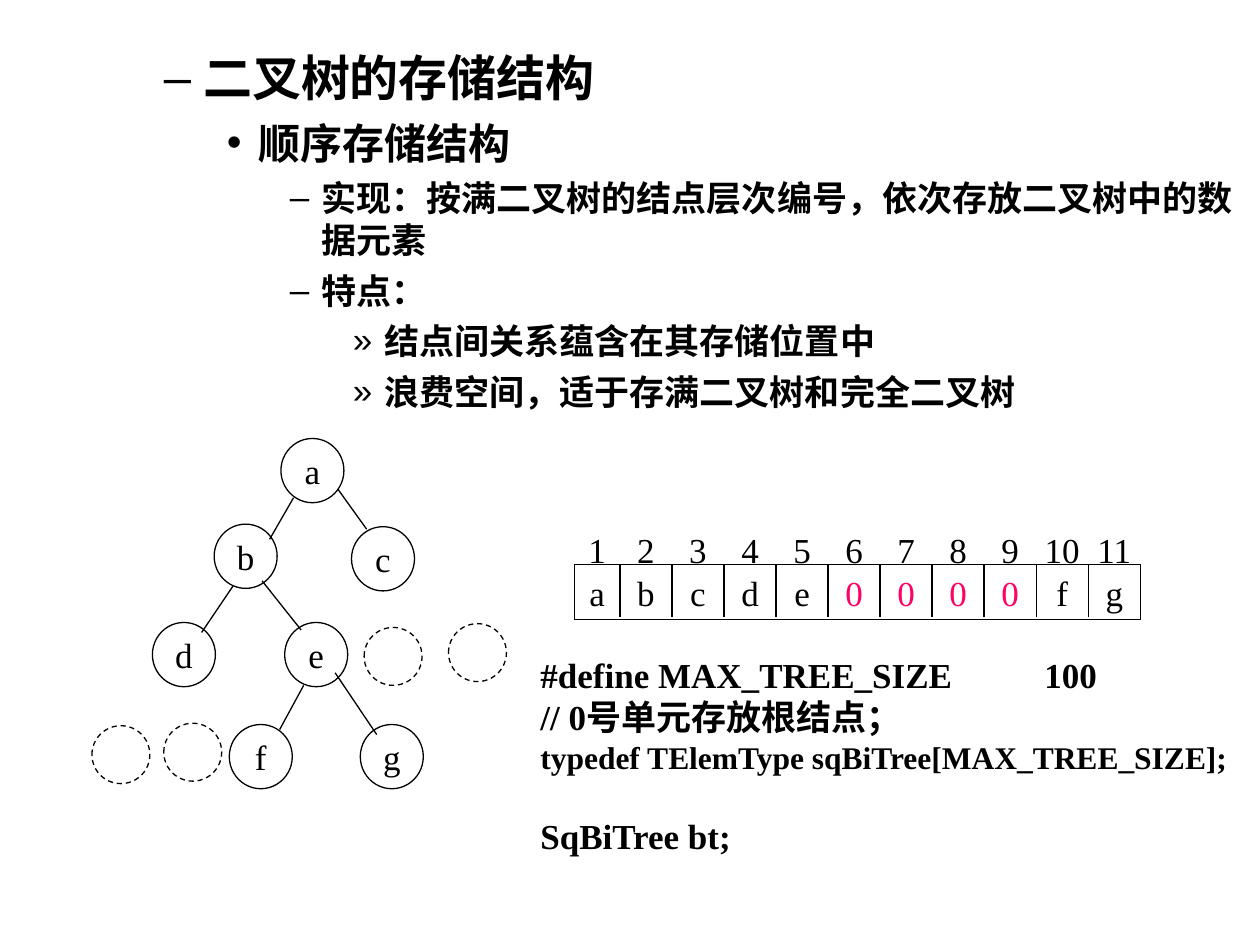
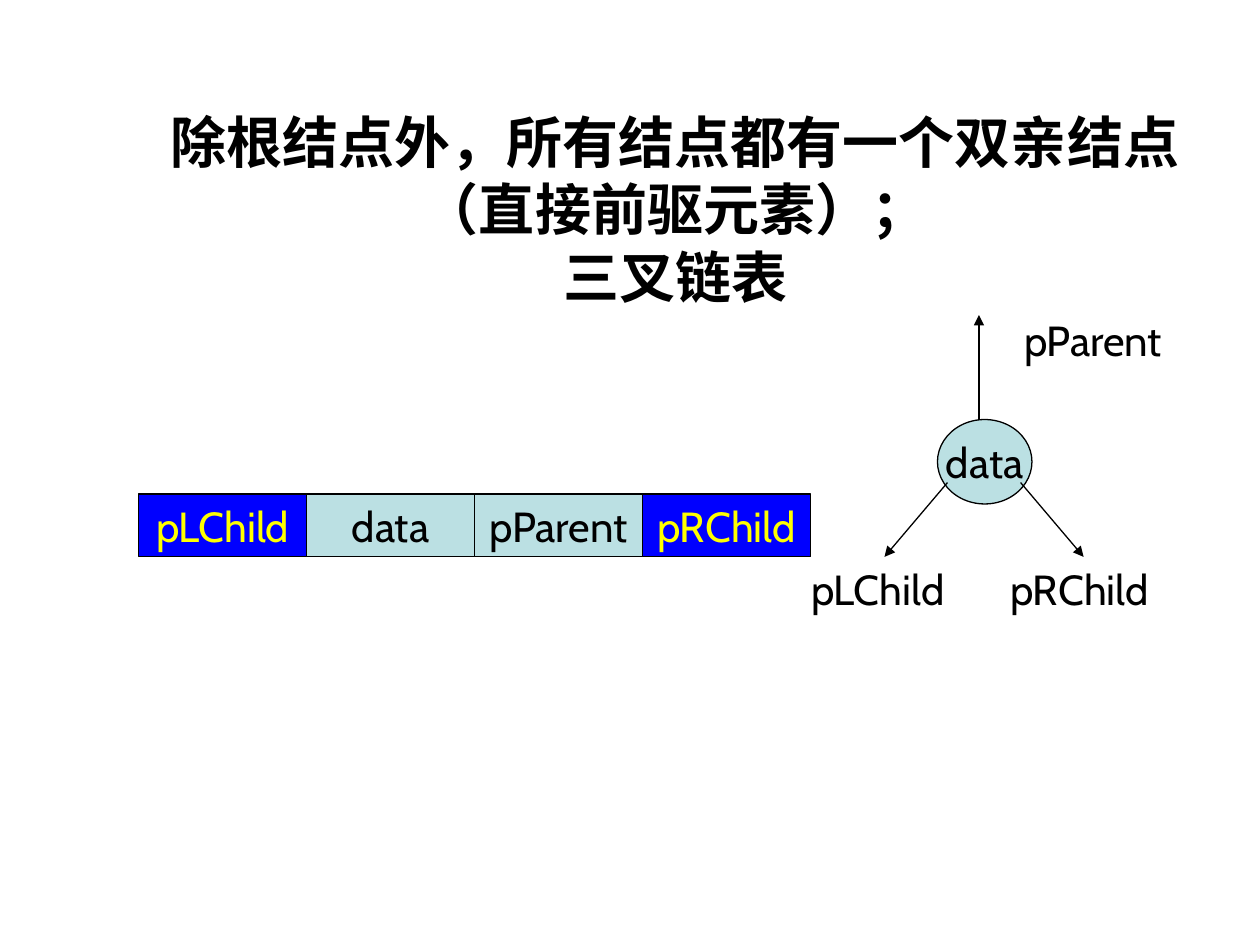
"""Build two slides on how binary trees are stored."""
from lxml.etree import SubElement
from pptx import Presentation
from pptx.dml.color import RGBColor
from pptx.enum.dml import MSO_LINE
from pptx.enum.shapes import MSO_CONNECTOR, MSO_SHAPE
from pptx.enum.text import MSO_ANCHOR, MSO_AUTO_SIZE, PP_ALIGN
from pptx.oxml.ns import qn
from pptx.util import Inches, Pt

HUES = {
    "ink": "000000",
    "zero": "FF0066",
    "link": "0000FF",
    "mark": "FFFF00",
    "pale": "BBE0E3",
}
HEAD, SERIF, SANS = "Arial", "Times New Roman", "Cabin"


def hue(name):
    return RGBColor.from_string(HUES[name])


def place(shape, box):
    shape.left, shape.top, shape.width, shape.height = map(Inches, box)


def add_run(para, text, size, font, color="ink", bold=False):
    run = para.add_run()
    run.text = text
    run.font.size = Pt(size)
    run.font.name = font
    run.font.bold = bold
    run.font.color.rgb = hue(color)


def add_form(slide, kind, box, fill=None, dash=False):
    form = slide.shapes.add_shape(kind, *map(Inches, box))
    form.shadow.inherit = False
    if fill:
        form.fill.solid()
        form.fill.fore_color.rgb = hue(fill)
    else:
        form.fill.background()
    form.line.color.rgb = hue("ink")
    form.line.width = Pt(0.75)
    if dash:
        form.line.dash_style = MSO_LINE.DASH
    return form


def write(form, text, size, font, color="ink"):
    frame = form.text_frame
    frame.word_wrap = False
    frame.margin_left = frame.margin_right = 0
    frame.vertical_anchor = MSO_ANCHOR.MIDDLE
    para = frame.paragraphs[0]
    para.alignment = PP_ALIGN.CENTER
    add_run(para, text, size, font, color)


def add_box(slide, box):
    form = slide.shapes.add_textbox(*map(Inches, box))
    form.text_frame.word_wrap = True
    return form


def add_line(slide, start, end, arrow=False):
    line = slide.shapes.add_connector(
        MSO_CONNECTOR.STRAIGHT, *map(Inches, start + end))
    line.line.color.rgb = hue("ink")
    line.line.width = Pt(0.75)
    if arrow:
        SubElement(line.line._get_or_add_ln(), qn("a:tailEnd"), type="triangle")
    SubElement(line._element.spPr, qn("a:effectLst"))


def add_list(slide, box, items):
    body = slide.placeholders[1]
    place(body, box)
    frame = body.text_frame
    frame.auto_size = MSO_AUTO_SIZE.NONE
    for i, (level, size, gap, text) in enumerate(items):
        para = frame.add_paragraph() if i else frame.paragraphs[0]
        para.level = level
        para.space_before = Pt(gap if i else 0)
        add_run(para, text, size, HEAD, bold=True)


def add_title(slide, box, lines):
    title = slide.shapes.title
    place(title, box)
    frame = title.text_frame
    frame.auto_size = MSO_AUTO_SIZE.NONE
    frame.vertical_anchor = MSO_ANCHOR.MIDDLE
    frame.margin_bottom = Inches(0.58)
    para = frame.paragraphs[0]
    para.alignment = PP_ALIGN.CENTER
    for i, text in enumerate(lines):
        if i:
            para.add_line_break()
        add_run(para, text, 32, HEAD, bold=True)


def add_tree(slide):
    nodes = {
        "a": (2.23, 3.48), "b": (1.7, 4.16), "c": (2.79, 4.18),
        "d": (1.21, 4.94), "e": (2.26, 4.94),
        "f": (1.82, 5.75), "g": (2.86, 5.75),
    }
    edges = [
        ((2.33, 3.95), (2.14, 4.28)), ((1.85, 4.65), (1.6, 5.02)),
        ((2.68, 3.88), (2.91, 4.2)), ((2.08, 4.61), (2.39, 5)),
        ((2.66, 5.34), (2.99, 5.83)), ((2.41, 5.44), (2.22, 5.79)),
    ]
    for name, spot in nodes.items():
        write(add_form(slide, MSO_SHAPE.OVAL, spot + (0.5, 0.51)), name, 20, SERIF)
    for start, end in edges:
        add_line(slide, start, end)
    for spot in [(2.89, 4.98), (3.56, 4.95), (0.73, 5.76), (1.3, 5.74)]:
        add_form(slide, MSO_SHAPE.OVAL, spot + (0.46, 0.46), dash=True)


def add_array(slide, values):
    left, first, last, top, high = 4.56, 4.92, 9.05, 4.48, 0.44
    step = (last - first) / (len(values) - 1)
    sides = [left] + [first + step * i for i in range(len(values))]
    add_form(slide, MSO_SHAPE.RECTANGLE, (left, top, last - left, high))
    for side in sides[1:-1]:
        add_line(slide, (side, top), (side, 4.9))
    for i, value in enumerate(values):
        width = sides[i + 1] - sides[i]
        cell = add_box(slide, (sides[i], top, width, high))
        write(cell, value, 20, SERIF, "zero" if value == "0" else "ink")
        label = add_box(slide, (sides[i], 4.14, width, high))
        write(label, str(i + 1), 20, SERIF)


def add_code(slide, box, lines):
    frame = add_box(slide, box).text_frame
    for i, (text, size, gap) in enumerate(lines):
        para = frame.add_paragraph() if i else frame.paragraphs[0]
        if "\t" in text:
            tabs = SubElement(para._p.get_or_add_pPr(), qn("a:tabLst"))
            SubElement(tabs, qn("a:tab"), pos=str(Inches(4)), algn="l")
        para.space_before = Pt(gap)
        add_run(para, text, size, SERIF, bold=True)


def add_record(slide, fields):
    width = 4 / 3
    for i, (name, fill, color) in enumerate(fields):
        box = (1.1 + width * i, 3.92, width, 0.5)
        write(add_form(slide, MSO_SHAPE.RECTANGLE, box, fill), name, 24, SANS, color)


def add_node(slide):
    oval = add_form(slide, MSO_SHAPE.OVAL, (7.44, 3.33, 0.75, 0.67), "pale")
    write(oval, "data", 24, SANS)
    links = [
        ("pLChild", (6.34, 4.42), (7.52, 3.83), (7.02, 4.42)),
        ("pRChild", (7.92, 4.42), (8.1, 3.83), (8.6, 4.42)),
        ("pParent", (8.03, 2.45), (7.77, 3.33), (7.77, 2.5)),
    ]
    for name, spot, start, end in links:
        add_line(slide, start, end, arrow=True)
        label = add_box(slide, spot + (1.45, 0.5))
        add_run(label.text_frame.paragraphs[0], name, 24, SANS)


def main():
    deck = Presentation()
    deck.slide_width, deck.slide_height = Inches(10), Inches(7.5)

    store = deck.slides.add_slide(deck.slide_layouts[1])
    empty = store.shapes.title._element
    empty.getparent().remove(empty)
    add_list(store, (0.7, 0.33, 9.3, 2.96), [
        (1, 28, 7, "二叉树的存储结构"),
        (2, 24, 6, "顺序存储结构"),
        (3, 20, 5, "实现：按满二叉树的结点层次编号，依次存放二叉树中的数据元素"),
        (3, 20, 5, "特点："),
        (4, 20, 5, "结点间关系蕴含在其存储位置中"),
        (4, 20, 5, "浪费空间，适于存满二叉树和完全二叉树"),
    ])
    add_tree(store)
    add_array(store, "abcde0000fg")
    add_code(store, (4.19, 5.14, 5.81, 1.7), [
        ("#define MAX_TREE_SIZE\t100", 20, 0),
        ("// 0号单元存放根结点；", 20, 0),
        ("typedef TElemType sqBiTree[MAX_TREE_SIZE];", 18, 0),
        ("SqBiTree bt;", 20, 22),
    ])

    chain = deck.slides.add_slide(deck.slide_layouts[5])
    add_title(chain, (1.11, 1.47, 8.5, 0.9), [
        "除根结点外，所有结点都有一个双亲结点（直接前驱元素）；",
        "三叉链表",
    ])
    add_record(chain, [
        ("pLChild", "link", "mark"),
        ("data", "pale", "ink"),
        ("pParent", "pale", "ink"),
        ("pRChild", "link", "mark"),
    ])
    add_node(chain)
    deck.save("out.pptx")


if __name__ == "__main__":
    main()
